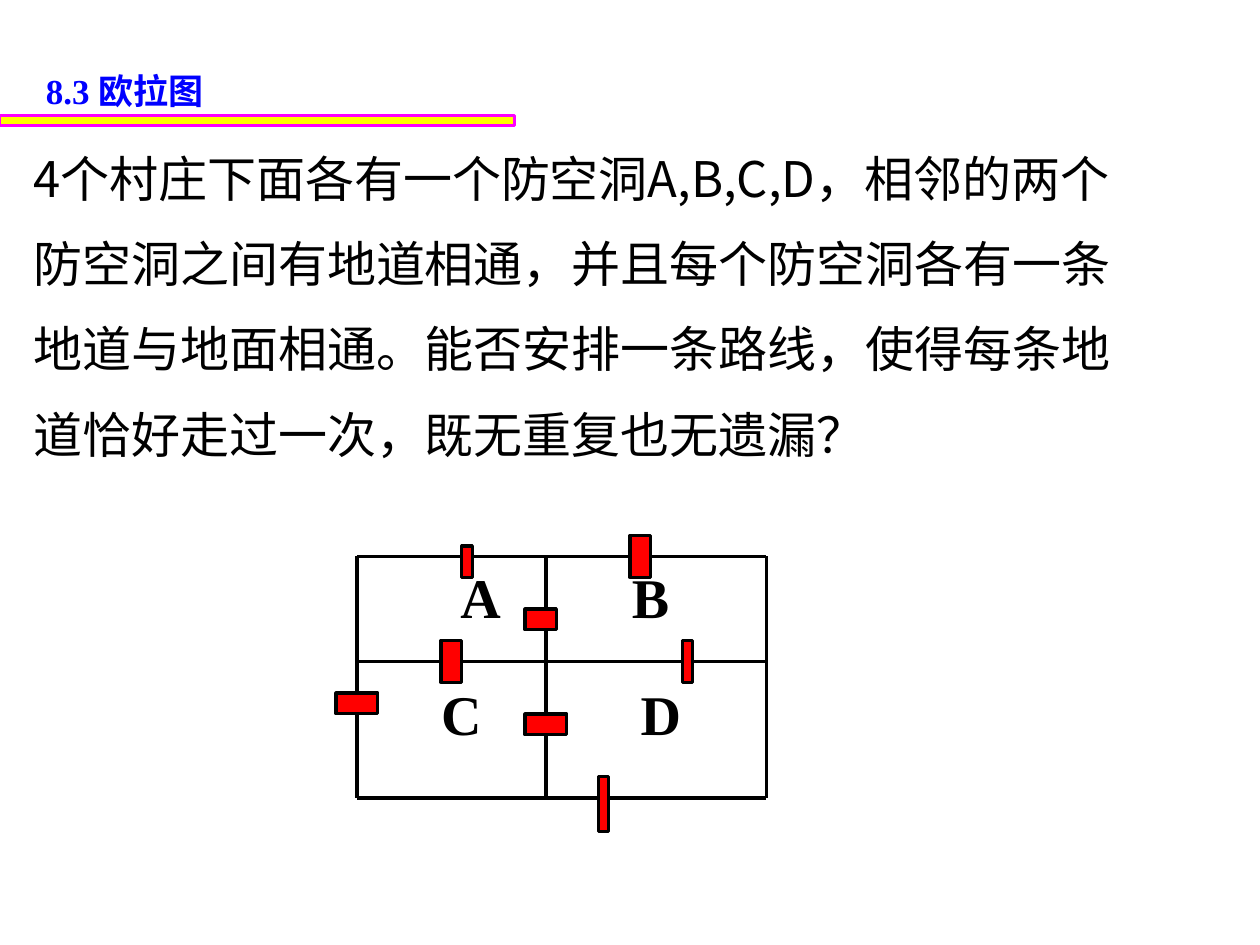
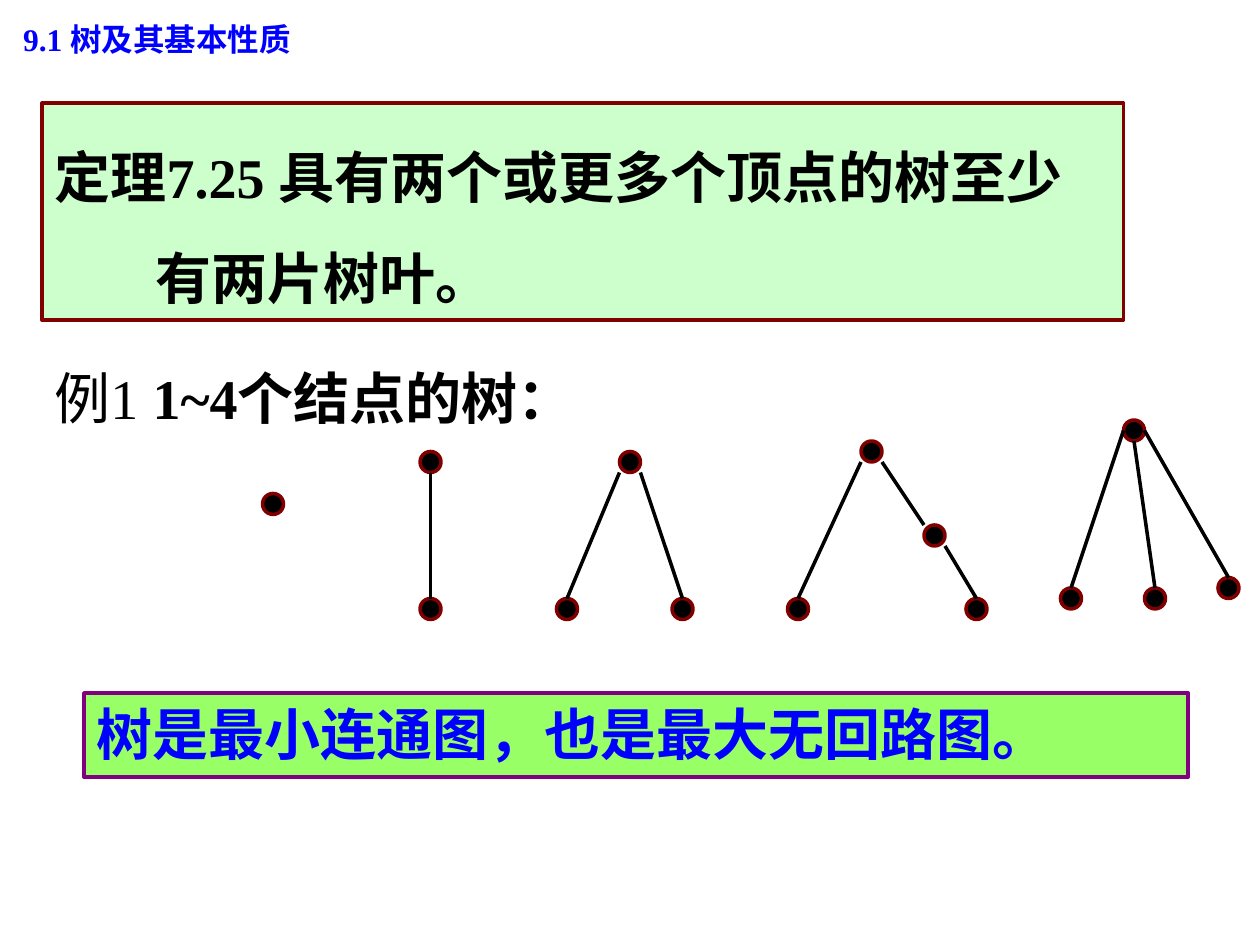
from dataclasses import dataclass
from itertools import product
from typing import Any, NamedTuple

from lxml.etree import SubElement
from pptx import Presentation
from pptx.dml.color import RGBColor
from pptx.enum.shapes import MSO_CONNECTOR, MSO_SHAPE
from pptx.enum.text import MSO_ANCHOR, MSO_AUTO_SIZE, PP_ALIGN
from pptx.oxml.ns import qn
from pptx.util import Pt


@dataclass(frozen=True)
class Theme:
    ink: str = "000000"
    blue: str = "0000FF"
    red: str = "FF0000"
    gold: str = "FFFF00"
    pink: str = "FF00FF"
    wine: str = "800000"
    plum: str = "800080"
    mint: str = "CCFFCC"
    lime: str = "99FF66"
    serif: str = "Times New Roman"
    plain: str = "Arial"
    han: str = "Noto Sans CJK SC"
    kana: str = "Noto Sans CJK JP"
    large: int = 32
    body: int = 28
    head: int = 20
    small: int = 18
    thin: float = 1.75
    thick: float = 2


T = Theme()
DOT = 12


class Box(NamedTuple):
    x: float
    y: float
    w: float
    h: float


class Look(NamedTuple):
    fill: str
    edge: str
    width: float
    kind: Any = MSO_SHAPE.RECTANGLE


class Bit(NamedTuple):
    text: str
    face: str = T.serif
    bold: bool = True


class Para(NamedTuple):
    bits: list[Bit]
    indent: float = 0


class Style(NamedTuple):
    size: int
    tint: str = T.ink
    space: float = 1
    wrap: bool = True


class Wall(NamedTuple):
    flat: bool
    at: float
    spans: list[tuple[float, float]]


class Edge(NamedTuple):
    top: int
    child: int
    start: tuple[float, float]
    stop: tuple[float, float] = (DOT / 2, 0)


class Tree(NamedTuple):
    dots: list[tuple[float, float]]
    edges: list[Edge] = []


BAND = Look(T.gold, T.pink, T.thin)
DOOR = Look(T.red, T.ink, T.thin)
NODE = Look(T.ink, T.wine, T.thick, MSO_SHAPE.OVAL)

STORY = [
    "4个村庄下面各有一个防空洞A,B,C,D，相邻的两个",
    "防空洞之间有地道相通，并且每个防空洞各有一条",
    "地道与地面相通。能否安排一条路线，使得每条地",
    "道恰好走过一次，既无重复也无遗漏？",
]
WALLS = [
    Wall(True, 318, [(204, 264), (270, 360), (372, 438)]),
    Wall(True, 378, [(204, 252), (264, 390), (396, 438)]),
    Wall(True, 456, [(204, 348), (348, 438)]),
    Wall(False, 204, [(318, 396), (408, 456)]),
    Wall(False, 312, [(318, 348), (360, 378), (378, 408), (420, 456)]),
    Wall(False, 438, [(318, 456)]),
]
DOORS = [
    Box(264, 312, 6, 18),
    Box(360, 306, 12, 24),
    Box(252, 366, 12, 24),
    Box(300, 348, 18, 12),
    Box(390, 366, 6, 24),
    Box(342, 444, 6, 31),
    Box(192, 396, 24, 12),
    Box(300, 408, 24, 12),
]
ROOMS = {"A": (256, 318), "B": (354, 318), "C": (245, 385), "D": (359, 385)}

LEFT, DOWN, RIGHT = (0, DOT), (DOT / 2, DOT), (DOT, DOT)
TREES = [
    Tree([(150, 282)]),
    Tree([(240, 258), (240, 342)], [Edge(0, 1, DOWN)]),
    Tree([(354, 258), (318, 342), (384, 342)],
         [Edge(0, 1, LEFT), Edge(0, 2, RIGHT)]),
    Tree([(492, 252), (450, 342), (528, 300), (552, 342)],
         [Edge(0, 1, LEFT), Edge(0, 2, RIGHT, (0, 0)), Edge(2, 3, RIGHT)]),
    Tree([(642, 240), (606, 336), (654, 336), (696, 330)],
         [Edge(0, 1, (0, DOT / 2)), Edge(0, 2, DOWN), Edge(0, 3, (DOT, DOT / 2))]),
]


def apply(thing: Any, values: dict[str, Any]) -> None:
    for name, value in values.items():
        setattr(thing, name, value)


def place(shape: Any, box: Box) -> None:
    names = ("left", "top", "width", "height")
    apply(shape, dict(zip(names, map(Pt, box))))


def write(shape: Any, paras: list[Para], style: Style) -> None:
    frame = shape.text_frame
    apply(frame, {
        "word_wrap": style.wrap,
        "auto_size": MSO_AUTO_SIZE.NONE,
        "vertical_anchor": MSO_ANCHOR.TOP,
    })
    for spot, para in enumerate(paras):
        line = frame.add_paragraph() if spot else frame.paragraphs[0]
        props = line._p.get_or_add_pPr()
        apply_xml = {"marL": str(Pt(para.indent)), "indent": "0"}
        for name, value in apply_xml.items():
            props.set(name, value)
        SubElement(props, qn("a:buNone"))
        apply(line, {
            "alignment": PP_ALIGN.LEFT,
            "line_spacing": style.space,
            "space_before": Pt(0),
        })
        for bit in para.bits:
            run = line.add_run()
            run.text = bit.text
            run.font.color.rgb = RGBColor.from_string(style.tint)
            apply(run.font, {
                "size": Pt(style.size), "name": bit.face, "bold": bit.bold,
            })
            east = SubElement(run._r.get_or_add_rPr(), qn("a:ea"))
            east.set("typeface", bit.face if "CJK" in bit.face else T.han)


def block(shapes: Any, box: Box, look: Look) -> Any:
    shape = shapes.add_shape(look.kind, *map(Pt, box))
    shape.shadow.inherit = False
    shape.fill.solid()
    shape.fill.fore_color.rgb = RGBColor.from_string(look.fill)
    shape.line.color.rgb = RGBColor.from_string(look.edge)
    shape.line.width = Pt(look.width)
    return shape


def stroke(shapes: Any, ends: tuple[float, ...], width: float) -> Any:
    line = shapes.add_connector(MSO_CONNECTOR.STRAIGHT, *map(Pt, ends))
    line.line.color.rgb = RGBColor.from_string(T.ink)
    line.line.width = Pt(width)
    SubElement(line._element.spPr, qn("a:effectLst"))
    return line


def join(lines: list[Any], blocks: list[Any], sides: int) -> None:
    for line, shape in product(lines, blocks):
        x, y, w, h = shape.left, shape.top, shape.width, shape.height
        sites = [(x + w // 2, y), (x, y + h // 2),
                 (x + w // 2, y + h), (x + w, y + h // 2)]
        for side, site in enumerate(sites[:sides]):
            if (line.begin_x, line.begin_y) == site:
                line.begin_connect(shape, side)
            if (line.end_x, line.end_y) == site:
                line.end_connect(shape, side)


def label(shapes: Any, box: Box, paras: list[Para], style: Style) -> None:
    write_box = shapes.add_textbox(*map(Pt, box))
    write(write_box, paras, style)


def start(deck: Any, layout: int, box: Box, bits: list[Bit], size: int) -> Any:
    slide = deck.slides.add_slide(deck.slide_layouts[layout])
    title = slide.shapes.title
    place(title, box)
    write(title, [Para(bits)], Style(size, T.blue))
    return slide


def draw_wall(shapes: Any, wall: Wall) -> list[Any]:
    lines = []
    for a, b in wall.spans:
        ends = (a, wall.at, b, wall.at) if wall.flat else (wall.at, a, wall.at, b)
        lines.append(stroke(shapes, ends, T.thin))
    return lines


def draw_tree(shapes: Any, tree: Tree) -> None:
    home = shapes.add_group_shape().shapes if len(tree.dots) > 2 else shapes
    nodes = [block(home, Box(x, y, DOT, DOT), NODE) for x, y in tree.dots]
    lines = []
    for edge in tree.edges:
        (ax, ay), (bx, by) = tree.dots[edge.top], tree.dots[edge.child]
        (sx, sy), (ex, ey) = edge.start, edge.stop
        lines.append(stroke(home, (ax + sx, ay + sy, bx + ex, by + ey), T.thick))
    join(lines, nodes, 1)


def euler(deck: Any) -> None:
    slide = start(deck, 1, Box(19, 36, 217, 31), [Bit("8.3 欧拉图")], T.head)
    shapes = slide.shapes
    block(shapes, Box(0, 66, 294, 6), BAND)
    body = slide.placeholders[1]
    place(body, Box(12, 66, 678, 202))
    write(body, [Para([Bit(text, T.kana, False)]) for text in STORY],
          Style(T.body, space=1.45))
    lines = [line for wall in WALLS for line in draw_wall(shapes, wall)]
    doors = [block(shapes, box, DOOR) for box in DOORS]
    join(lines, doors, 4)
    for name, (x, y) in ROOMS.items():
        label(shapes, Box(x, y, 37, 45), [Para([Bit(name)])],
              Style(T.large, wrap=False))


def trees(deck: Any) -> None:
    head = [Bit("9.1 "), Bit("树及其基本性质", T.han)]
    shapes = start(deck, 5, Box(6, 8, 216, 29), head, T.small).shapes
    rule = block(shapes, Box(24, 59, 618, 124), Look(T.mint, T.wine, T.thick))
    write(rule, [
        Para([Bit("定理", T.han), Bit("7.25 "),
              Bit("具有两个或更多个顶点的树至少", T.han)]),
        Para([Bit("有两片树叶。", T.han)], 58),
    ], Style(T.large, space=1.5))
    label(shapes, Box(24, 204, 439, 45), [
        Para([Bit("例", T.plain, False), Bit("1 ", bold=False),
              Bit("1~4"), Bit("个结点的树：", T.han)]),
    ], Style(T.large))
    for tree in TREES:
        draw_tree(shapes, tree)
    close = block(shapes, Box(48, 396, 631, 48), Look(T.lime, T.plum, T.thick))
    write(close, [Para([Bit("树是最小连通图，也是最大无回路图。", T.han)])],
          Style(T.large, T.blue))


def main() -> None:
    deck = Presentation()
    apply(deck, {"slide_width": Pt(720), "slide_height": Pt(540)})
    euler(deck)
    trees(deck)
    deck.save("out.pptx")


if __name__ == "__main__":
    main()
